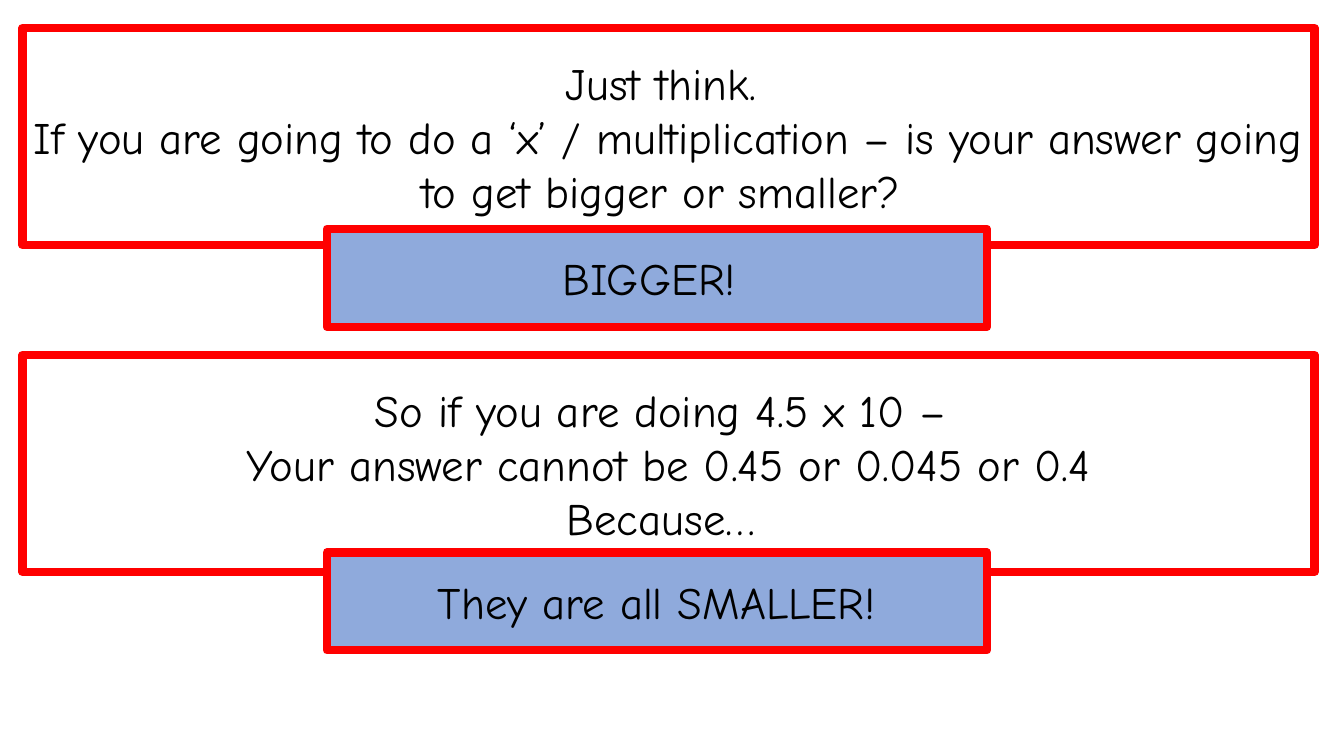
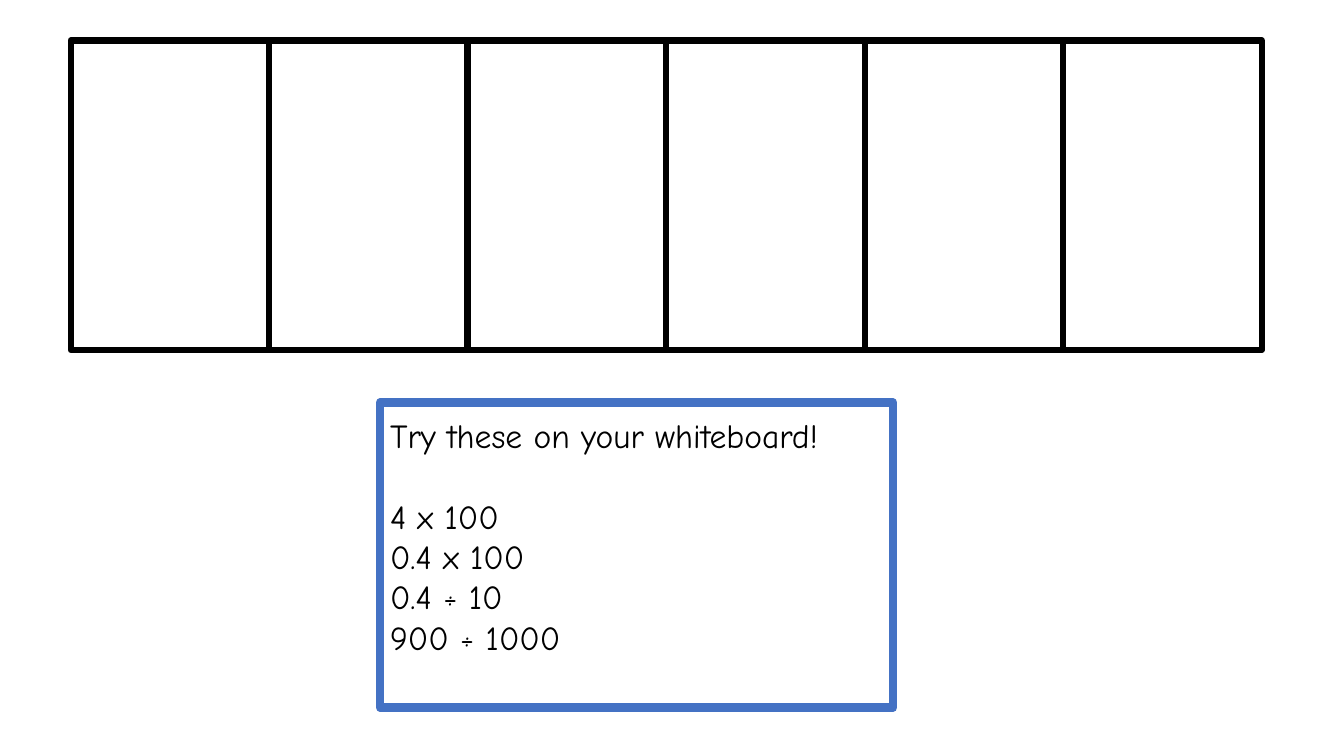
from pptx import Presentation
from pptx.dml.color import RGBColor
from pptx.enum.shapes import MSO_SHAPE
from pptx.enum.text import MSO_ANCHOR, PP_ALIGN
from pptx.util import Pt

RECT = MSO_SHAPE.RECTANGLE
TOP, MIDDLE = MSO_ANCHOR.TOP, MSO_ANCHOR.MIDDLE
LEFT, CENTER = PP_ALIGN.LEFT, PP_ALIGN.CENTER
FONT = "Comic Neue"
COLORS = {
    "white": "FFFFFF",
    "black": "000000",
    "red": "FF0000",
    "sky": "8FAADC",
    "blue": "4472C4",
}


def add_box(slide, area, fill="white", line="red", width=6):
    box = slide.shapes.add_shape(RECT, *[Pt(n) for n in area])
    box.shadow.inherit = False
    box.fill.solid()
    box.fill.fore_color.rgb = RGBColor.from_string(COLORS[fill])
    box.line.color.rgb = RGBColor.from_string(COLORS[line])
    box.line.width = Pt(width)
    return box


def add_text(box, lines, size=32, align=CENTER, anchor=MIDDLE):
    frame = box.text_frame
    frame.word_wrap = True
    frame.vertical_anchor = anchor
    frame.text = "\n".join(lines)
    for para in frame.paragraphs:
        para.alignment = align
        para.font.size = Pt(size)
        para.font.name = FONT
        para.font.color.rgb = RGBColor.from_string(COLORS["black"])
    return frame


deck = Presentation()
deck.slide_width, deck.slide_height = Pt(960), Pt(540)
blank = deck.slide_layouts[6]

slide = deck.slides.add_slide(blank)
steps = [
    (20, ["Just think. ",
          "If you are going to do a ‘x’ / multiplication – is your answer "
          "going to get bigger or smaller? "],
     163.5, "BIGGER! "),
    (253.5, ["So if you are doing 4.5 x 10 – ",
             "Your answer cannot be 0.45 or 0.045 or 0.4",
             "Because… "],
     394.5, "They are all SMALLER!"),
]
for top, lines, low, answer in steps:
    add_text(add_box(slide, (16, top, 923, 155)), lines)
    add_text(add_box(slide, (233.5, low, 471.5, 70), fill="sky"), [answer])

slide = deck.slides.add_slide(blank)
wide = 141.8
for col in range(6):
    add_box(slide, (50.5 + col * wide, 29, wide, 221), line="black", width=4.5)

board = add_box(slide, (271.5, 287.5, 366.5, 218), line="blue")
tasks = ["Try these on your whiteboard!",
         "4 x 100", "0.4 x 100", "0.4 ÷ 10", "900 ÷ 1000"]
frame = add_text(board, tasks, size=24, align=LEFT, anchor=TOP)
frame.margin_top = Pt(9)
frame.paragraphs[1].space_before = Pt(28.6)

deck.save("out.pptx")
